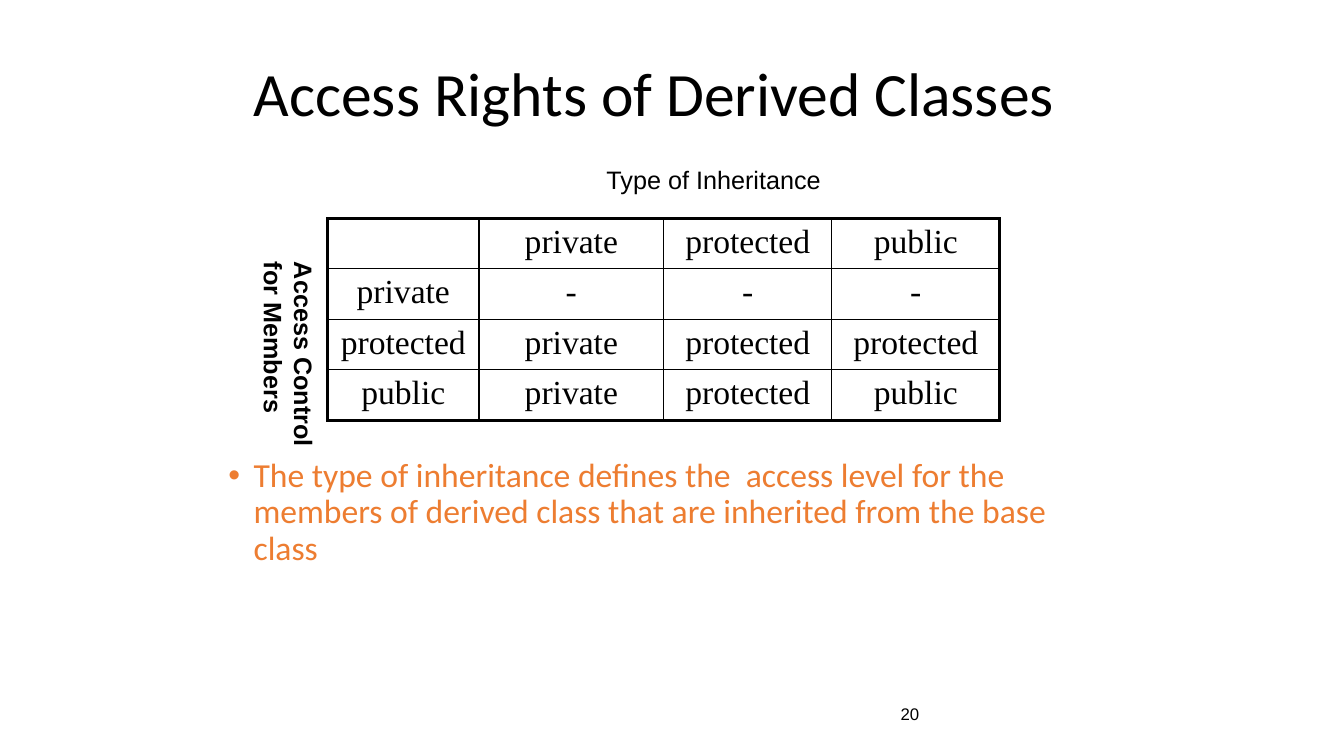
from pptx import Presentation
from pptx import util as u
from pptx.dml import color
from pptx.enum import text as t
from pptx.oxml import parse_xml
from pptx.oxml import ns

HUES = {"ink": "000000", "note": "ED7D31"}
COLS, ROWS = 160, 90

deck = Presentation()
deck.slide_width, deck.slide_height = u.Inches(13.33), u.Inches(7.5)
unit = deck.slide_height / ROWS
slide = deck.slides.add_slide(deck.slide_layouts[5])


def span(*cells):
    return [u.Emu(round(cell * unit)) for cell in cells]


def style(frame, words, hue, font, para={}):
    frame.text = words
    for line in frame.paragraphs:
        for key, value in para.items():
            setattr(line, key, value)
        for run in line.runs:
            for key, value in font.items():
                setattr(run.font, key, value)
            run.font.color.rgb = color.RGBColor.from_string(HUES[hue])


title = slide.shapes.title
title.left, title.top, title.width, title.height = span(29, 5, 102, 13)
style(title.text_frame, "Access Rights of Derived Classes", "ink",
      {"name": "Calibri", "size": u.Pt(44)},
      {"alignment": t.PP_ALIGN.LEFT, "line_spacing": 0.9})
title.text_frame.vertical_anchor = t.MSO_ANCHOR.MIDDLE
title.text_frame.auto_size = t.MSO_AUTO_SIZE.NONE

arial = {"name": "Arial", "size": u.Pt(18)}
fixed, grow = t.MSO_AUTO_SIZE.NONE, t.MSO_AUTO_SIZE.SHAPE_TO_FIT_TEXT
note = ("The type of inheritance defines the  access level for the members of "
        "derived class that are inherited from the base class")
labels = {
    "page": ((106, 82, 25, 6), "20", "ink", {**arial, "size": u.Pt(12)}, {},
             {"word_wrap": True, "auto_size": fixed,
              "vertical_anchor": t.MSO_ANCHOR.MIDDLE}),
    "note": ((26, 54, 105, 33), note, "note",
             {"name": "Calibri", "size": u.Pt(24)},
             {"line_spacing": 0.9, "space_before": u.Pt(10)},
             {"word_wrap": True, "auto_size": fixed}),
    "top": ((71, 19, 28.2, 4.8), "Type of Inheritance", "ink", arial, {},
            {"word_wrap": False, "auto_size": grow}),
    "side": ((28.9, 30, 9.7, 23.4), "Access Control\nfor Members", "ink",
             {**arial, "bold": True}, {},
             {"word_wrap": False, "auto_size": grow}),
}
boxes = {}
for name, (place, words, hue, font, para, frame) in labels.items():
    boxes[name] = slide.shapes.add_textbox(*span(*place)).text_frame
    style(boxes[name], words, hue, font, para)
    for key, value in frame.items():
        setattr(boxes[name], key, value)

boxes["side"]._txBody.bodyPr.set("vert", "eaVert")
props = boxes["note"].paragraphs[0]._p.get_or_add_pPr()
props.set("marL", str(u.Inches(0.25)))
props.set("indent", str(-u.Inches(0.25)))
props.append(parse_xml(f'<a:buFont {ns.nsdecls("a")} typeface="Arial"/>'))
props.append(parse_xml(f'<a:buChar {ns.nsdecls("a")} char="•"/>'))

kinds = ["private", "protected", "public"]
rights = [["", *kinds], ["private", "-", "-", "-"],
          ["protected", "private", "protected", "protected"],
          ["public", *kinds]]
last = len(rights) - 1
grid = slide.shapes.add_table(4, 4, *span(39, 26, 80, 24)).table
grid.first_row = grid.horz_banding = False
for col, width in zip(grid.columns, span(18, 22, 20, 20)):
    col.width = width
for r, row in enumerate(rights):
    for c, words in enumerate(row):
        cell = grid.cell(r, c)
        style(cell.text_frame, words, "ink",
              {"name": "Times New Roman", "size": u.Pt(24)},
              {"alignment": t.PP_ALIGN.CENTER})
        edges = {"L": c == 0, "R": c == last, "T": r == 0, "B": r == last}
        for side, outer in edges.items():
            width = u.Pt(2.25 if outer else 1)
            cell._tc.get_or_add_tcPr().append(parse_xml(
                f'<a:ln{side} {ns.nsdecls("a")} w="{width}"><a:solidFill>'
                f'<a:srgbClr val="{HUES["ink"]}"/></a:solidFill></a:ln{side}>'))
        cell.fill.background()

deck.save("out.pptx")
